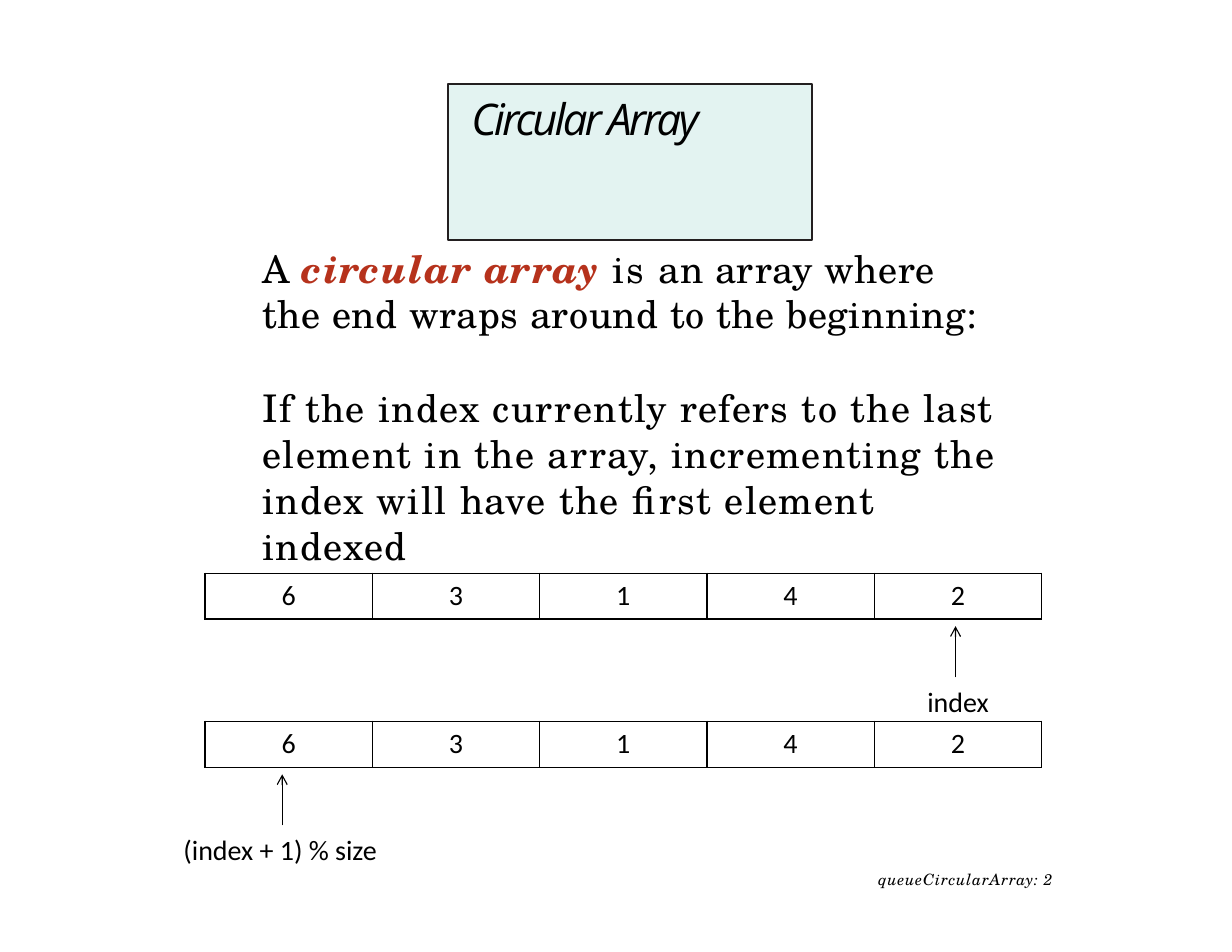
from lxml import etree
from pptx import Presentation
from pptx.dml.color import RGBColor
from pptx.enum.shapes import MSO_CONNECTOR as Connector, MSO_SHAPE as Shape
from pptx.enum.text import MSO_ANCHOR as Anchor, PP_ALIGN as Align
from pptx.oxml.ns import qn
from pptx.util import Cm, Pt

BLACK = RGBColor(0x00, 0x00, 0x00)
RED = RGBColor(0xB6, 0x32, 0x1C)
MINT = RGBColor(0xE3, 0xF3, 0xF1)
OUTLINE = RGBColor(0x23, 0x1F, 0x20)

SERIF = "TeX Gyre Schola"
VALUES = ["6", "3", "1", "4", "2"]
ARRAY_LEFT, ARRAY_WIDTH, ARRAY_HEIGHT = 4.65, 18.97, 1.04


def style(para, name, size, italic=False):
    font = para.font
    font.name, font.size, font.italic = name, Pt(size), italic
    font.color.rgb = BLACK


def add_span(para, text, spacing):
    """Add a run with letter spacing in points."""
    span = para.add_run()
    span.text = text
    span.font._element.set("spc", str(round(spacing * 100)))
    return span


def set_margins(frame, left, top=0):
    frame.margin_left, frame.margin_top = Cm(left), Cm(top)
    frame.margin_right = frame.margin_bottom = 0
    frame.word_wrap = True


def add_text_frame(page, left, top, width, height):
    box = page.shapes.add_textbox(Cm(left), Cm(top), Cm(width), Cm(height))
    return box.text_frame


def add_title(page):
    box = page.shapes.add_shape(Shape.RECTANGLE, Cm(10.16), Cm(1.91), Cm(8.26), Cm(3.53))
    box.shadow.inherit = False
    box.fill.solid()
    box.fill.fore_color.rgb = MINT
    box.line.color.rgb = OUTLINE
    box.line.width = Pt(1)
    frame = box.text_frame
    set_margins(frame, 0.53)
    frame.vertical_anchor = Anchor.TOP
    para = frame.paragraphs[0]
    para.alignment = Align.LEFT
    para.line_spacing = Pt(38.5)
    style(para, "Open Sans", 28, italic=True)
    add_span(para, "Circular Array", -1.8)


def add_definition(page):
    frame = add_text_frame(page, 5.92, 5.51, 16.76, 7.42)
    set_margins(frame, 0.03, 0.05)
    meaning, wrapping = frame.paragraphs[0], frame.add_paragraph()
    for para, gap in ((meaning, 1.2), (wrapping, 31)):
        style(para, SERIF, 24.5)
        para.space_before = Pt(gap)
    add_span(meaning, "A ", 0.4)
    term = add_span(meaning, "circular array ", 0.8)
    term.font.bold = term.font.italic = True
    term.font.color.rgb = RED
    add_span(meaning, "is ", 1.2)
    add_span(meaning, "an array where the end wraps around to the beginning:", 0.4)
    add_span(wrapping, "If the index currently refers to the last element in the array, "
             "incrementing the index will have the first element indexed", 0.9)


def add_footer(page):
    frame = add_text_frame(page, 19.89, 19.74, 4.29, 0.43)
    set_margins(frame, 0.03)
    para = frame.paragraphs[0]
    style(para, SERIF, 10, italic=True)
    add_span(para, "queueCircularArray: ", 0.5)
    add_span(para, "2", 0.6)


def set_borders(cell):
    properties = cell._tc.get_or_add_tcPr()
    for position, side in enumerate(("lnL", "lnR", "lnT", "lnB")):
        line = etree.Element(qn(f"a:{side}"), w=str(Pt(1)))
        fill = etree.SubElement(line, qn("a:solidFill"))
        etree.SubElement(fill, qn("a:srgbClr"), val=str(BLACK))
        properties.insert(position, line)


def add_array(page, top):
    table = page.shapes.add_table(1, len(VALUES), Cm(ARRAY_LEFT), Cm(top),
                                  Cm(ARRAY_WIDTH), Cm(ARRAY_HEIGHT)).table
    table.first_row = table.horz_banding = False
    for cell, value in zip(table.rows[0].cells, VALUES):
        cell.text = value
        cell.fill.background()
        set_borders(cell)
        para = cell.text_frame.paragraphs[0]
        para.alignment = Align.CENTER
        style(para, "Calibri", 18)


def add_pointer(page, array_top, x, text, label_left, label_width):
    """Add an upward arrow below an array, with its label."""
    arrow = page.shapes.add_connector(Connector.STRAIGHT, Cm(x), Cm(array_top + 2.36),
                                      Cm(x), Cm(array_top + 1.2))
    arrow.line.color.rgb = BLACK
    arrow.line.width = Pt(0.75)
    etree.SubElement(arrow.line._get_or_add_ln(), qn("a:tailEnd"), type="arrow")
    etree.SubElement(arrow._element.spPr, qn("a:effectLst"))
    frame = add_text_frame(page, label_left, array_top + 2.4, label_width, 1.02)
    frame.word_wrap = False
    frame.text = text
    style(frame.paragraphs[0], "Calibri", 18)


def main():
    deck = Presentation()
    deck.slide_width, deck.slide_height = Cm(27.94), Cm(21.59)
    page = deck.slides.add_slide(deck.slide_layouts[6])
    add_title(page)
    add_footer(page)
    add_definition(page)
    for top, *pointer in (
        (13, 21.67, "index", 20.78, 1.93),
        (16.36, 6.4, "(index + 1) % size", 3.91, 4.95),
    ):
        add_array(page, top)
        add_pointer(page, top, *pointer)
    deck.save("out.pptx")


if __name__ == "__main__":
    main()
